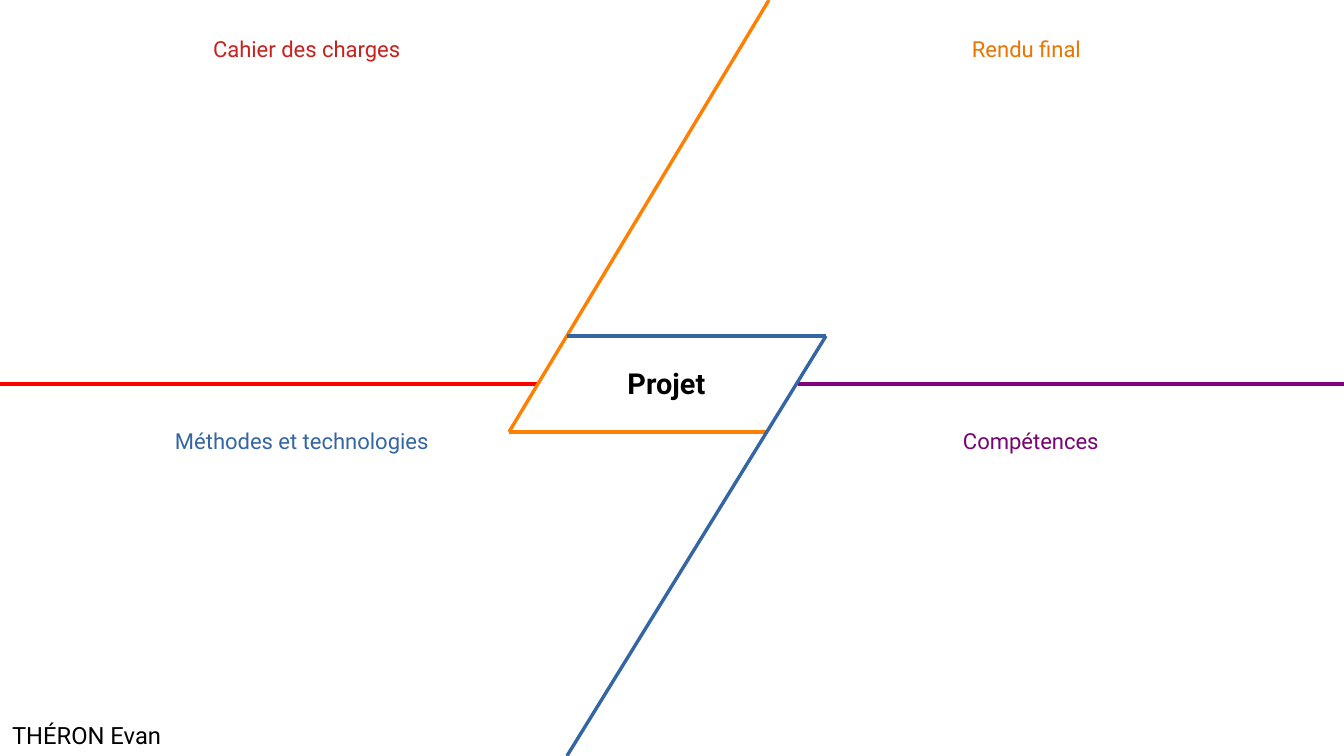
from typing import NamedTuple

from lxml import etree
from pptx import Presentation, util as u
from pptx.dml.color import RGBColor
from pptx.enum import shapes, text
from pptx.oxml import ns

PX = u.Inches(1) / 122
WIDTH, HEIGHT = 1344, 756
MIDDLE, FRAME_TOP, FRAME_BOTTOM = 384, 336, 432
COLORS = {
    "red": "FF0000", "purple": "800080", "orange": "FF8000", "blue": "3465A4",
    "specification": "C9211E", "result": "EA7500", "skills": "780373",
    "black": "000000",
}


class Divider(NamedTuple):
    x1: int
    y1: int
    x2: int
    y2: int
    color: str


class Label(NamedTuple):
    words: str
    left: int
    top: int
    width: int
    height: int
    color: str
    size: int = 13
    bold: bool = False
    align: text.PP_ALIGN = text.PP_ALIGN.LEFT


DIVIDERS = [
    Divider(0, MIDDLE, 538, MIDDLE, "red"),
    Divider(798, MIDDLE, WIDTH, MIDDLE, "purple"),
    Divider(509, FRAME_BOTTOM, 769, 0, "orange"),
    Divider(567, FRAME_TOP, 826, FRAME_TOP, "blue"),
    Divider(509, FRAME_BOTTOM, 767, FRAME_BOTTOM, "orange"),
    Divider(826, FRAME_TOP, 567, HEIGHT, "blue"),
]
LABELS = [
    Label("Cahier des charges", 201, 29, 240, 41, "specification"),
    Label("Rendu final", 960, 29, 154, 41, "result"),
    Label("Méthodes et technologies", 163, 422, 298, 41, "blue"),
    Label("Compétences", 951, 422, 173, 41, "skills"),
    Label("Projet ", 572, 360, 196, 51, "black", 17, True, text.PP_ALIGN.CENTER),
    Label("THÉRON Evan", 0, 715, 192, 44, "black", 14),
]


def px(length: int) -> u.Emu:
    return u.Emu(round(length * PX))


def rgb(name: str) -> RGBColor:
    return RGBColor.from_string(COLORS[name])


def draw_divider(page, divider: Divider) -> None:
    line = page.shapes.add_connector(
        shapes.MSO_CONNECTOR.STRAIGHT, *(px(value) for value in divider[:4]))
    line.line.color.rgb = rgb(divider.color)
    line.line.width = u.Pt(0)
    etree.SubElement(line._element.spPr, ns.qn("a:effectLst"))


def add_words(box, words: str, *, color: str, size: int, bold: bool,
              align: text.PP_ALIGN) -> None:
    frame = box.text_frame
    frame.word_wrap = True
    para = frame.paragraphs[0]
    para.alignment = align
    span = para.add_run()
    span.text = words
    span.font.name = "Roboto"
    span.font.size = u.Pt(size)
    span.font.bold = bold
    span.font.color.rgb = rgb(color)


def draw_label(page, label: Label) -> None:
    box = page.shapes.add_textbox(
        px(label.left), px(label.top), px(label.width), px(label.height))
    add_words(box, label.words, color=label.color, size=label.size,
              bold=label.bold, align=label.align)


def main() -> None:
    deck = Presentation()
    deck.slide_width, deck.slide_height = px(WIDTH), px(HEIGHT)
    page = deck.slides.add_slide(deck.slide_layouts[6])
    for divider in DIVIDERS:
        draw_divider(page, divider)
    for label in LABELS:
        draw_label(page, label)
    deck.save("out.pptx")


if __name__ == "__main__":
    main()
